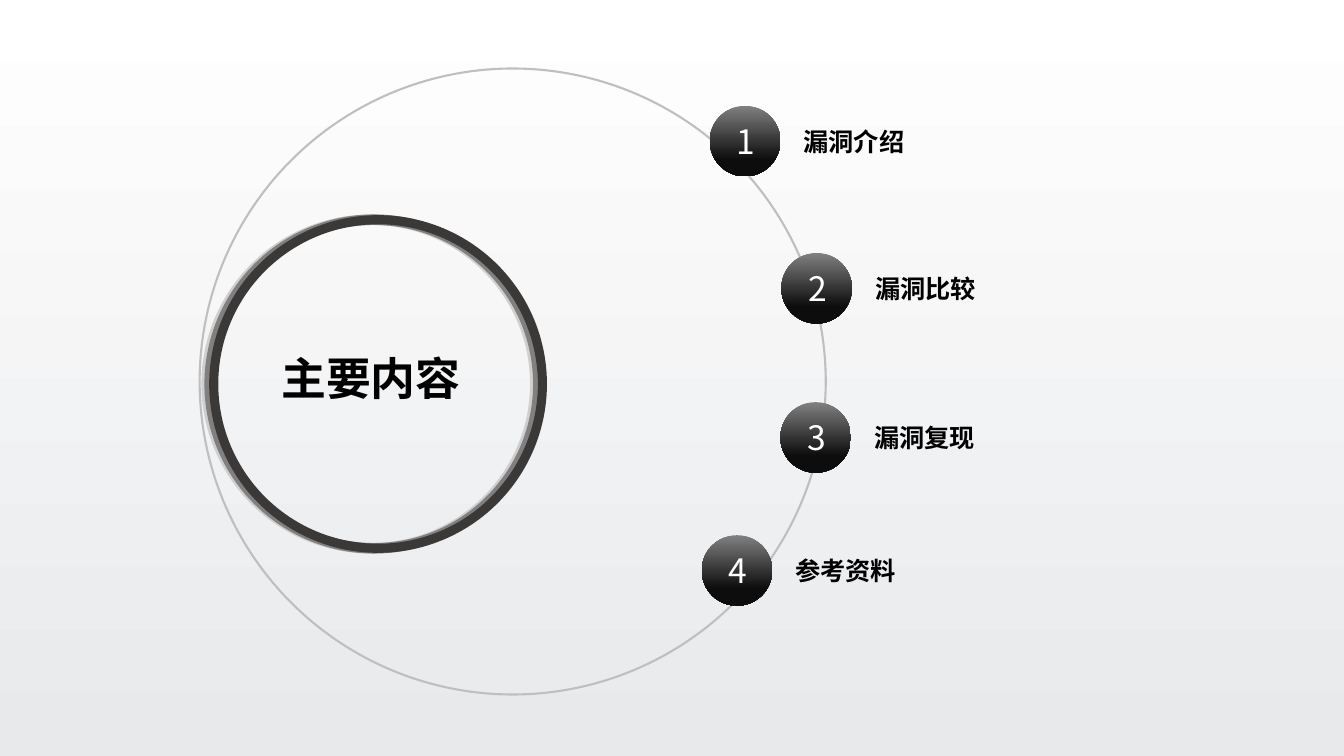
from lxml import etree
from pptx import Presentation
from pptx.dml.color import RGBColor
from pptx.enum.shapes import MSO_SHAPE as SHAPE
from pptx.enum.text import MSO_ANCHOR as ANCHOR, MSO_AUTO_SIZE as AUTO, PP_ALIGN as ALIGN
from pptx.oxml.ns import qn
from pptx.util import Inches, Pt

FONT = "Noto Sans CJK SC"
BLACK = RGBColor(0x00, 0x00, 0x00)
WHITE = RGBColor(0xFF, 0xFF, 0xFF)
MIST = RGBColor(0xE8, 0xE9, 0xEB)
SILVER = RGBColor(0xD0, 0xCE, 0xCE)
ORBIT_GRAY = RGBColor(0xBF, 0xBF, 0xBF)
GRAY = RGBColor(0x80, 0x80, 0x80)
CHARCOAL = RGBColor(0x3B, 0x38, 0x38)
INK = RGBColor(0x0D, 0x0D, 0x0D)

RINGS = [(2.05, SILVER, 7.5), (2.08, GRAY, 7.5), (2.12, CHARCOAL, 6.5)]
TOPICS = [
    (7.04, 1.05, "漏洞介绍"),
    (7.75, 2.51, "漏洞比较"),
    (7.74, 3.99, "漏洞复现"),
    (6.96, 5.31, "参考资料"),
]


class AgendaSlide:
    def __init__(self, prs):
        self.slide = prs.slides.add_slide(prs.slide_layouts[5])
        self.shapes = self.slide.shapes

    def gradient(self, fill, start, end, end_pos=1.0):
        fill.gradient()
        fill.gradient_angle = 270
        for stop, color, pos in zip(fill.gradient_stops, (start, end), (0, end_pos)):
            stop.color.rgb = color
            stop.position = pos

    def background(self):
        self.gradient(self.slide.background.fill, WHITE, MIST)

    def circle(self, left, top, size):
        sp = self.shapes.add_shape(
            SHAPE.OVAL, Inches(left), Inches(top), Inches(size), Inches(size))
        sp.shadow.inherit = False
        return sp

    def ring(self, left, top, size, color, width):
        sp = self.circle(left, top, size)
        sp.fill.background()
        sp.line.color.rgb = color
        sp.line.width = Pt(width)

    def ball(self, left, top, size):
        sp = self.circle(left, top, size)
        self.gradient(sp.fill, GRAY, INK, 0.76)
        sp.line.fill.background()

    def set_text(self, sp, text, size, color, bold, align):
        tf = sp.text_frame
        tf.text = text
        tf.word_wrap = False
        tf.auto_size = AUTO.SHAPE_TO_FIT_TEXT
        tf.vertical_anchor = ANCHOR.TOP
        p = tf.paragraphs[0]
        p.alignment = align
        font = p.runs[0].font
        font.name = FONT
        font.size = Pt(size)
        font.bold = bold
        font.color.rgb = color
        etree.SubElement(p.runs[0]._r.get_or_add_rPr(), qn("a:ea"), typeface=FONT)

    def title(self, left, top, width, height, text):
        sp = self.shapes.title
        sp.left, sp.top = Inches(left), Inches(top)
        sp.width, sp.height = Inches(width), Inches(height)
        self.set_text(sp, text, 32, BLACK, True, ALIGN.LEFT)

    def label(self, left, top, width, height, text, size, color, bold=False, align=ALIGN.LEFT):
        sp = self.shapes.add_textbox(
            Inches(left), Inches(top), Inches(width), Inches(height))
        self.set_text(sp, text, size, color, bold, align)


def main():
    prs = Presentation()
    prs.slide_width, prs.slide_height = Inches(13.33), Inches(7.5)
    s = AgendaSlide(prs)
    s.background()
    for left, color, width in RINGS:
        s.ring(left, 2.18, 3.26, color, width)
    s.ring(1.98, 0.68, 6.21, ORBIT_GRAY, 1.5)
    s.title(2.69, 3.43, 2, 0.64, "主要内容")
    for number, (left, top, topic) in enumerate(TOPICS, 1):
        s.ball(left, top, 0.7)
        s.label(left + 0.83, top + 0.15, 1.21, 0.4, topic, 18, BLACK, bold=True)
        s.label(left + 0.17, top + 0.1, 0.37, 0.5, str(number), 24, WHITE, align=ALIGN.CENTER)
    prs.save("out.pptx")


if __name__ == "__main__":
    main()
